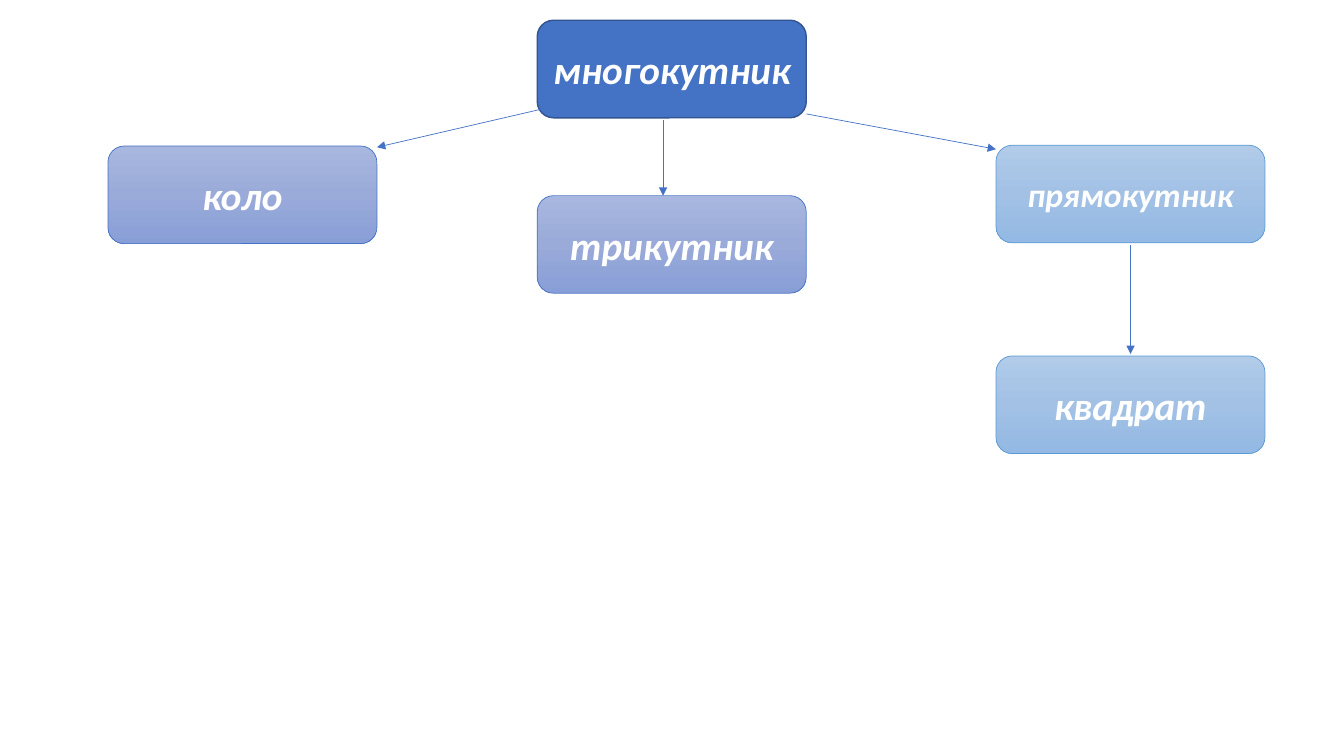
from copy import deepcopy

from lxml import etree
from pptx import Presentation
from pptx.dml.color import RGBColor
from pptx.enum.shapes import MSO_CONNECTOR, MSO_SHAPE
from pptx.enum.text import MSO_ANCHOR, PP_ALIGN
from pptx.oxml.ns import qn
from pptx.util import Cm, Pt

ROUNDED = MSO_SHAPE.ROUNDED_RECTANGLE
STRAIGHT = MSO_CONNECTOR.STRAIGHT
MIDDLE = MSO_ANCHOR.MIDDLE
CENTER = PP_ALIGN.CENTER

COLORS = {"white": "FFFFFF", "blue": "4472C4", "navy": "325491", "sky": "5B9BD5"}
GRADIENTS = {
    "blue": ("A8B7DF", "9AABD9", "889ED7"),
    "sky": ("B1CBE9", "A3C1E5", "93B9E4"),
}
BOX_WIDTH, BOX_HEIGHT = 6.78, 2.46
LEFT_COLUMN, MIDDLE_COLUMN, RIGHT_COLUMN = 2.72, 13.54, 25.1
RIGHT_CENTER = RIGHT_COLUMN + BOX_WIDTH / 2


def color(name):
    return RGBColor.from_string(COLORS[name])


def apply(target, values):
    for name, value in values.items():
        setattr(target, name, value)


class Diagram:
    font = {"name": "Calibri", "bold": True, "italic": True}
    frame = {"vertical_anchor": MIDDLE, "word_wrap": True,
             "margin_left": Cm(0.2), "margin_right": Cm(0.2)}

    def __init__(self, slide):
        self.slide = slide

    def outline(self, line, name, width):
        line.color.rgb = color(name)
        line.width = Pt(width)

    def gradient(self, shape, name):
        shape.fill.gradient()
        shape.fill.gradient_angle = 270
        stop_list = shape.element.spPr.find(qn("a:gradFill")).find(qn("a:gsLst"))
        stop_list.insert(1, deepcopy(stop_list[0]))
        for index, (stop, value) in enumerate(zip(shape.fill.gradient_stops, GRADIENTS[name])):
            stop.position = index / 2
            stop.color.rgb = RGBColor.from_string(value)

    def box(self, text, left, top, theme, size=28):
        shape = self.slide.shapes.add_shape(
            ROUNDED, Cm(left), Cm(top), Cm(BOX_WIDTH), Cm(BOX_HEIGHT))
        shape.shadow.inherit = False
        if theme in GRADIENTS:
            self.gradient(shape, theme)
            self.outline(shape.line, theme, 0.5)
        else:
            shape.fill.solid()
            shape.fill.fore_color.rgb = color("blue")
            self.outline(shape.line, theme, 1)
        apply(shape.text_frame, self.frame)
        paragraph = shape.text_frame.paragraphs[0]
        paragraph.alignment = CENTER
        run = paragraph.add_run()
        run.text = text
        apply(run.font, {**self.font, "size": Pt(size)})
        run.font.color.rgb = color("white")

    def arrow(self, *ends):
        connector = self.slide.shapes.add_connector(STRAIGHT, *map(Cm, ends))
        self.outline(connector.line, "blue", 0.5)
        etree.SubElement(connector.line._get_or_add_ln(), qn("a:tailEnd"), type="triangle")
        etree.SubElement(connector.element.spPr, qn("a:effectLst"))


presentation = Presentation()
apply(presentation, {"slide_width": Cm(33.87), "slide_height": Cm(19.05)})
diagram = Diagram(presentation.slides.add_slide(presentation.slide_layouts[6]))

diagram.box("многокутник", MIDDLE_COLUMN, 0.51, "navy")
diagram.box("трикутник", MIDDLE_COLUMN, 4.93, "blue")
diagram.box("прямокутник", RIGHT_COLUMN, 3.66, "sky", size=24)
diagram.box("квадрат", RIGHT_COLUMN, 8.97, "sky")
diagram.box("коло", LEFT_COLUMN, 3.68, "blue")

diagram.arrow(13.69, 2.74, LEFT_COLUMN + BOX_WIDTH, 3.71)
diagram.arrow(MIDDLE_COLUMN + BOX_WIDTH, 2.87, RIGHT_COLUMN, 3.76)
diagram.arrow(16.71, 3.02, 16.71, 4.93)
diagram.arrow(RIGHT_CENTER, 6.17, RIGHT_CENTER, 8.92)

presentation.save("out.pptx")
